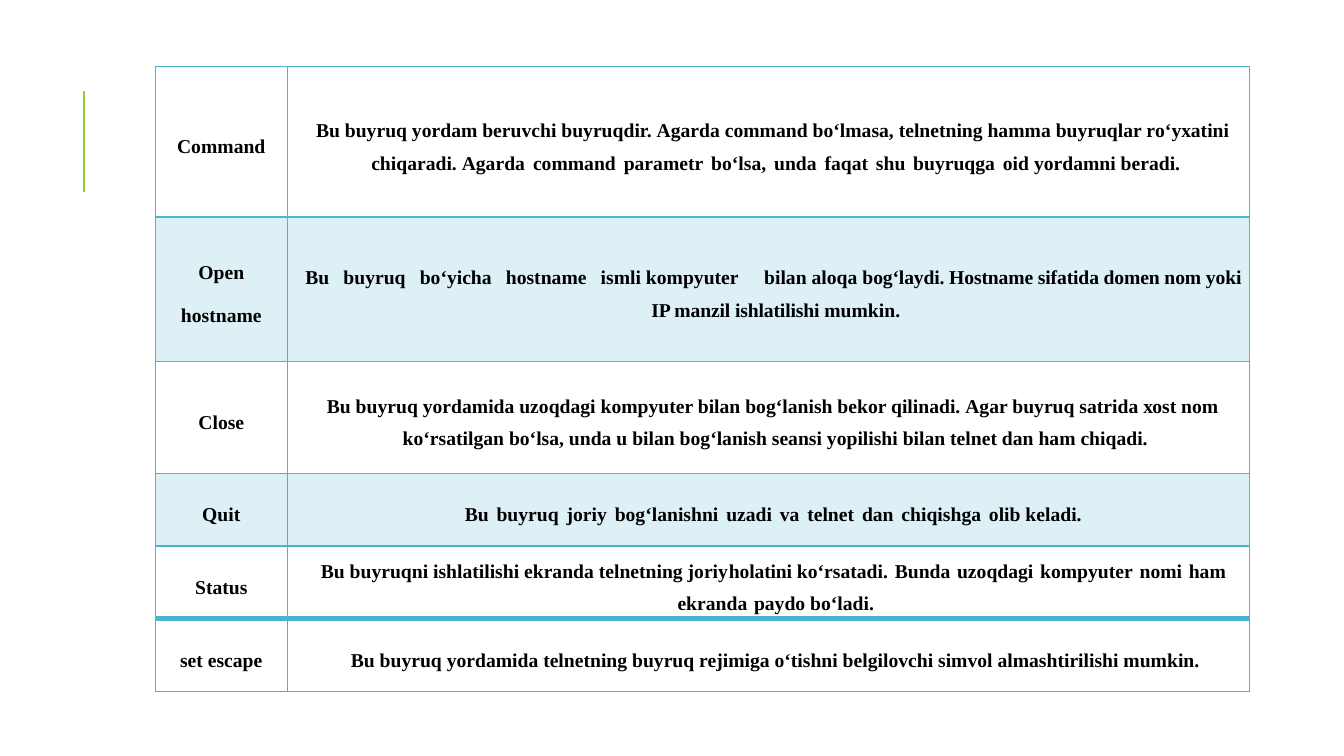
from dataclasses import dataclass
from itertools import groupby

from lxml.etree import SubElement
from pptx import Presentation
from pptx.dml.color import RGBColor as RGB
from pptx.enum.shapes import MSO_CONNECTOR as CONN
from pptx.enum.text import MSO_ANCHOR as ANCHOR, PP_ALIGN as ALIGN
from pptx.oxml.ns import qn
from pptx.util import Inches, Pt


@dataclass(frozen=True)
class Theme:
    font: str = "Times New Roman"
    size: int = 14
    ink: str = "000000"
    border: str = "4EB3CF"
    band: str = "DCF0F5"
    plain: str = "FFFFFF"
    accent: str = "99CB38"


T = Theme()

# The wording uses Cyrillic letters for these five Latin look-alikes
CYRILLIC = str.maketrans("aoxAO", "аохАО")

# Name lines, wide-gap spacing in points, runs as (text, letter spacing);
# "_" stands for a widened space
COMMANDS = [
    (["Command"], 2, [
        ("Bu buyruq yordam beruvchi buyruqdir. Agarda command boʻlmasa, "
         "telnetning hamma buyruqlar roʻyxatini chiqaradi. "
         "Agarda_command_parametr_boʻlsa,_unda_faqat_shu_buyruqga_oid "
         "yordamni beradi.", 0)]),
    (["Open", "hostname"], 6.5, [
        ("Bu_buyruq_boʻyicha_hostname_ismli kompyuter\tbilan aloqa ", 0),
        ("bogʻlaydi. Hostname sifatida domen nom yoki IP manzil "
         "ishlatilishi ", -0.1),
        ("mumkin.", 0)]),
    (["Close"], 0, [
        ("Bu buyruq yordamida uzoqdagi kompyuter bilan bogʻlanish bekor "
         "qilinadi. Agar buyruq satrida xost nom koʻrsatilgan boʻlsa, unda u "
         "bilan bogʻlanish seansi yopilishi bilan telnet dan ham chiqadi.", 0)]),
    (["Quit"], 2, [
        ("Bu_buyruq_joriy_bogʻlanishni_uzadi_va_telnet_dan_chiqishga_olib "
         "keladi.", 0)]),
    (["Status"], 1.2, [
        ("Bu buyruqni ishlatilishi ekranda telnetning joriy", 0),
        ("holatini ", -0.1),
        ("koʻrsatadi._Bunda_uzoqdagi_kompyuter_nomi_ham ekranda_paydo "
         "boʻladi.", 0)]),
    (["set escape"], 0, [
        ("Bu buyruq yordamida telnetning buyruq rejimiga oʻtishni "
         "belgilovchi simvol almashtirilishi mumkin.", 0)]),
]
COLS = [1.31, 9.54]
ROWS = [1.49, 1.43, 1.11, 0.72, 0.72, 0.72]
RULES = [1, 2, 1, 1, 1, 4, 1]  # horizontal line widths, top to bottom


def add_run(p, text, spacing):
    r = p.add_run()
    r.text = text.translate(CYRILLIC)
    f = r.font
    f.name, f.size, f.bold = T.font, Pt(T.size), True
    f.color.rgb = RGB.from_string(T.ink)
    if spacing:
        f._element.set("spc", str(round(spacing * 100)))


def fill_paragraph(p, runs, gap):
    p.alignment, p.line_spacing, p.space_after = ALIGN.CENTER, 1.5, Pt(8)
    for text, spacing in runs:
        for wide, chars in groupby(text, lambda ch: ch == "_"):
            piece = "".join(chars).replace("_", " ")
            add_run(p, piece, gap if wide else spacing)


def indent(p, left, first):
    pPr = p._p.get_or_add_pPr()
    pPr.set("marL", str(Inches(left)))
    pPr.set("indent", str(Inches(first)))


def set_borders(cell, top, bottom):
    tcPr = cell._tc.get_or_add_tcPr()
    for i, (side, width) in enumerate(
            [("lnL", 1), ("lnR", 1), ("lnT", top), ("lnB", bottom)]):
        ln = tcPr.makeelement(qn(f"a:{side}"), {"w": str(Pt(width))})
        SubElement(SubElement(ln, qn("a:solidFill")), qn("a:srgbClr"),
                   val=T.border)
        tcPr.insert(i, ln)


def style_cell(cell, row):
    cell.vertical_anchor = ANCHOR.MIDDLE
    cell.margin_left = cell.margin_right = 0
    cell.margin_top = cell.margin_bottom = 0
    cell.fill.solid()
    cell.fill.fore_color.rgb = RGB.from_string(
        T.band if row in (1, 3) else T.plain)
    set_borders(cell, RULES[row], RULES[row + 1])


def command_table(slide, x, y, w, h):
    table = slide.shapes.add_table(
        len(ROWS), len(COLS), Inches(x), Inches(y), Inches(w), Inches(h)).table
    table.first_row = table.horz_banding = False
    for col, share in zip(table.columns, COLS):
        col.width = Inches(w * share / sum(COLS))
    for row, share in zip(table.rows, ROWS):
        row.height = Inches(h * share / sum(ROWS))

    for i, (names, gap, runs) in enumerate(COMMANDS):
        name_cell, text_cell = table.cell(i, 0), table.cell(i, 1)
        # Command name, one paragraph per line
        tf = name_cell.text_frame
        for n, name in enumerate(names):
            p = tf.add_paragraph() if n else tf.paragraphs[0]
            fill_paragraph(p, [(name, 0)], gap)
        # Description
        p = text_cell.text_frame.paragraphs[0]
        fill_paragraph(p, runs, gap)
        indent(p, 0.15, 0 if i == len(COMMANDS) - 1 else -0.05)
        for cell in (name_cell, text_cell):
            style_cell(cell, i)


def accent_line(slide, x, y, h):
    line = slide.shapes.add_connector(
        CONN.STRAIGHT, Inches(x), Inches(y + h), Inches(x), Inches(y))
    line.line.color.rgb = RGB.from_string(T.accent)
    line.line.width = Pt(1.5)
    SubElement(line._element.spPr, qn("a:effectLst"))


prs = Presentation()
prs.slide_width, prs.slide_height = Inches(13.33), Inches(7.5)
slide = prs.slides.add_slide(prs.slide_layouts[6])
accent_line(slide, 0.83, 0.9, 1)
command_table(slide, 1.54, 0.66, 10.85, 6.2)
prs.save("out.pptx")
